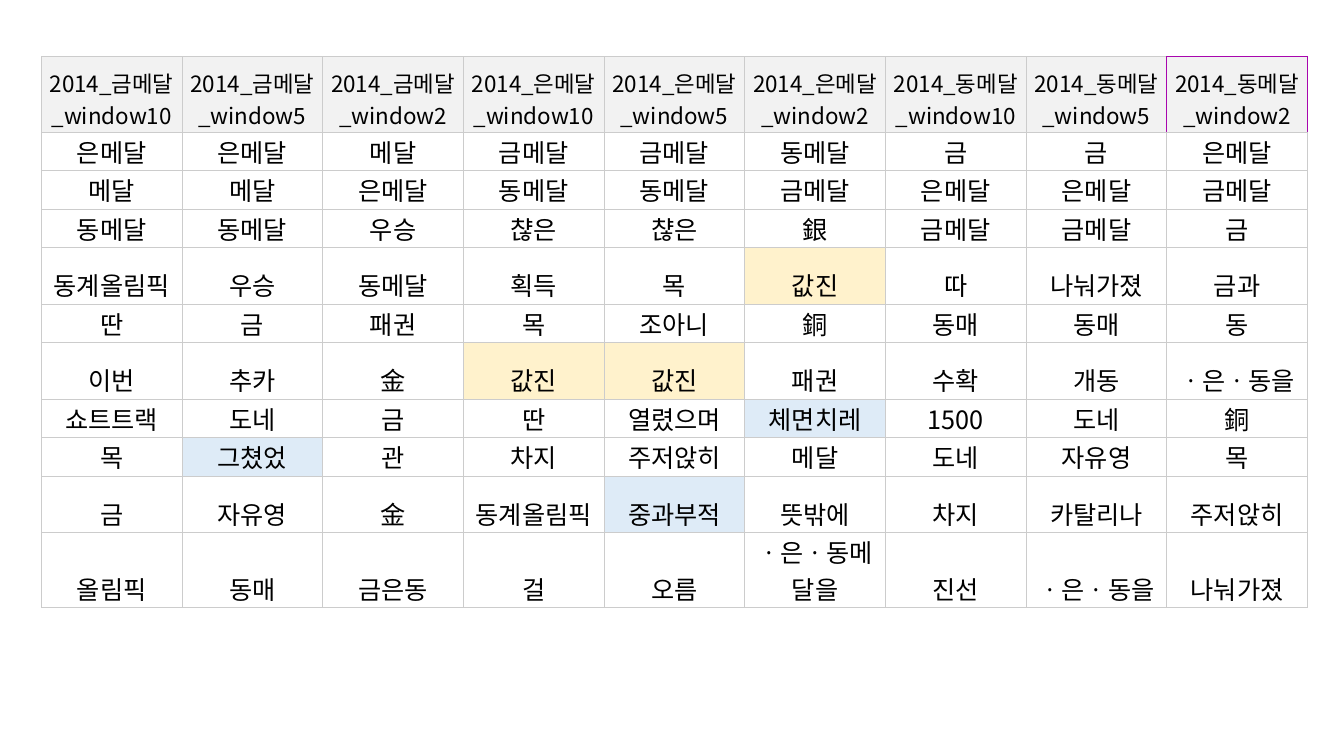
from lxml import etree
from pptx import Presentation
from pptx.dml.color import RGBColor
from pptx.enum.text import MSO_ANCHOR, PP_ALIGN
from pptx.oxml.ns import qn
from pptx.util import Inches, Pt

CENTER = PP_ALIGN.CENTER
BOTTOM = MSO_ANCHOR.BOTTOM
BLACK = RGBColor(0x00, 0x00, 0x00)
GRAY = RGBColor(0xF2, 0xF2, 0xF2)
CREAM = RGBColor(0xFF, 0xF2, 0xCC)
BLUE = RGBColor(0xDE, 0xEB, 0xF7)
LINE = RGBColor(0xCC, 0xCC, 0xCC)
PURPLE = RGBColor(0xA8, 0x06, 0xAE)
FONT = "Noto Sans CJK KR"

heads = [f"2014_{medal}_window{size}"
         for medal in ("금메달", "은메달", "동메달") for size in (10, 5, 2)]
words = [
    "은메달 은메달 메달 금메달 금메달 동메달 금 금 은메달",
    "메달 메달 은메달 동메달 동메달 금메달 은메달 은메달 금메달",
    "동메달 동메달 우승 챦은 챦은 銀 금메달 금메달 금",
    "동계올림픽 우승 동메달 획득 목 값진 따 나눠가졌 금과",
    "딴 금 패권 목 조아니 銅 동매 동매 동",
    "이번 추카 \uf90a 값진 값진 패권 수확 개동 ㆍ은ㆍ동을",
    "쇼트트랙 도네 금 딴 열렸으며 체면치레 1500 도네 銅",
    "목 그쳤었 관 차지 주저앉히 메달 도네 자유영 목",
    "금 자유영 金 동계올림픽 중과부적 뜻밖에 차지 카탈리나 주저앉히",
    "올림픽 동매 금은동 걸 오름 ㆍ은ㆍ동메달을 진선 ㆍ은ㆍ동을 나눠가졌",
]
rows = [heads] + [line.split() for line in words]
tall = [0.75, 0.38, 0.38, 0.38, 0.56, 0.38, 0.56, 0.38, 0.38, 0.56, 0.74]
fills = {"값진": CREAM, "체면치레": BLUE, "그쳤었": BLUE, "중과부적": BLUE}
fills.update({head: GRAY for head in heads})
edges = {(0, 7): "R", (0, 8): "LTR"}


def add_edge(cell, side, color):
    edge = etree.SubElement(cell._tc.get_or_add_tcPr(), qn(f"a:ln{side}"), w=str(Pt(0.5)))
    paint = etree.SubElement(edge, qn("a:solidFill"))
    etree.SubElement(paint, qn("a:srgbClr"), val=str(color))


deck = Presentation()
deck.slide_width = Inches(13.33)
deck.slide_height = Inches(7.5)
slide = deck.slides.add_slide(deck.slide_layouts[6])

table = slide.shapes.add_table(len(rows), len(heads), Inches(0.41), Inches(0.56),
                               Inches(12.56), Inches(sum(tall))).table
table.first_row = False
table.horz_banding = False

for r, row in enumerate(rows):
    table.rows[r].height = Inches(tall[r])
    for c, word in enumerate(row):
        cell = table.cell(r, c)
        cell.margin_left = cell.margin_right = Inches(0.01)
        cell.margin_top = cell.margin_bottom = Inches(0.01)
        cell.vertical_anchor = BOTTOM
        for side in "LRTB":
            add_edge(cell, side, PURPLE if side in edges.get((r, c), "") else LINE)
        if word in fills:
            cell.fill.solid()
            cell.fill.fore_color.rgb = fills[word]
        else:
            cell.fill.background()
        cell.text_frame.text = word
        para = cell.text_frame.paragraphs[0]
        para.alignment = CENTER
        for run in para.runs:
            run.font.size = Pt(18 if r else 16)
            run.font.name = FONT
            run.font.color.rgb = BLACK
            etree.SubElement(run._r.get_or_add_rPr(), qn("a:ea"), typeface=FONT)

deck.save("out.pptx")
